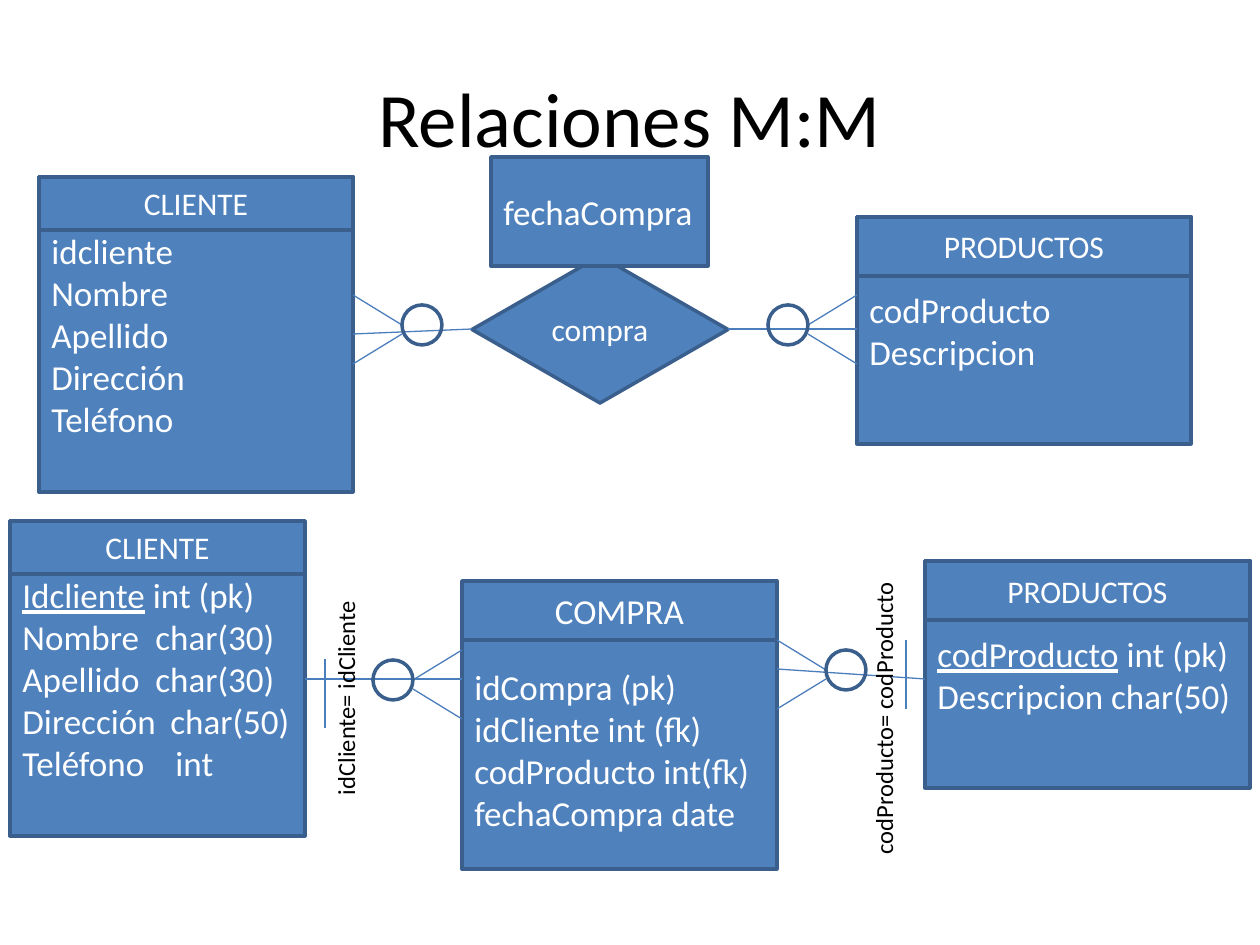
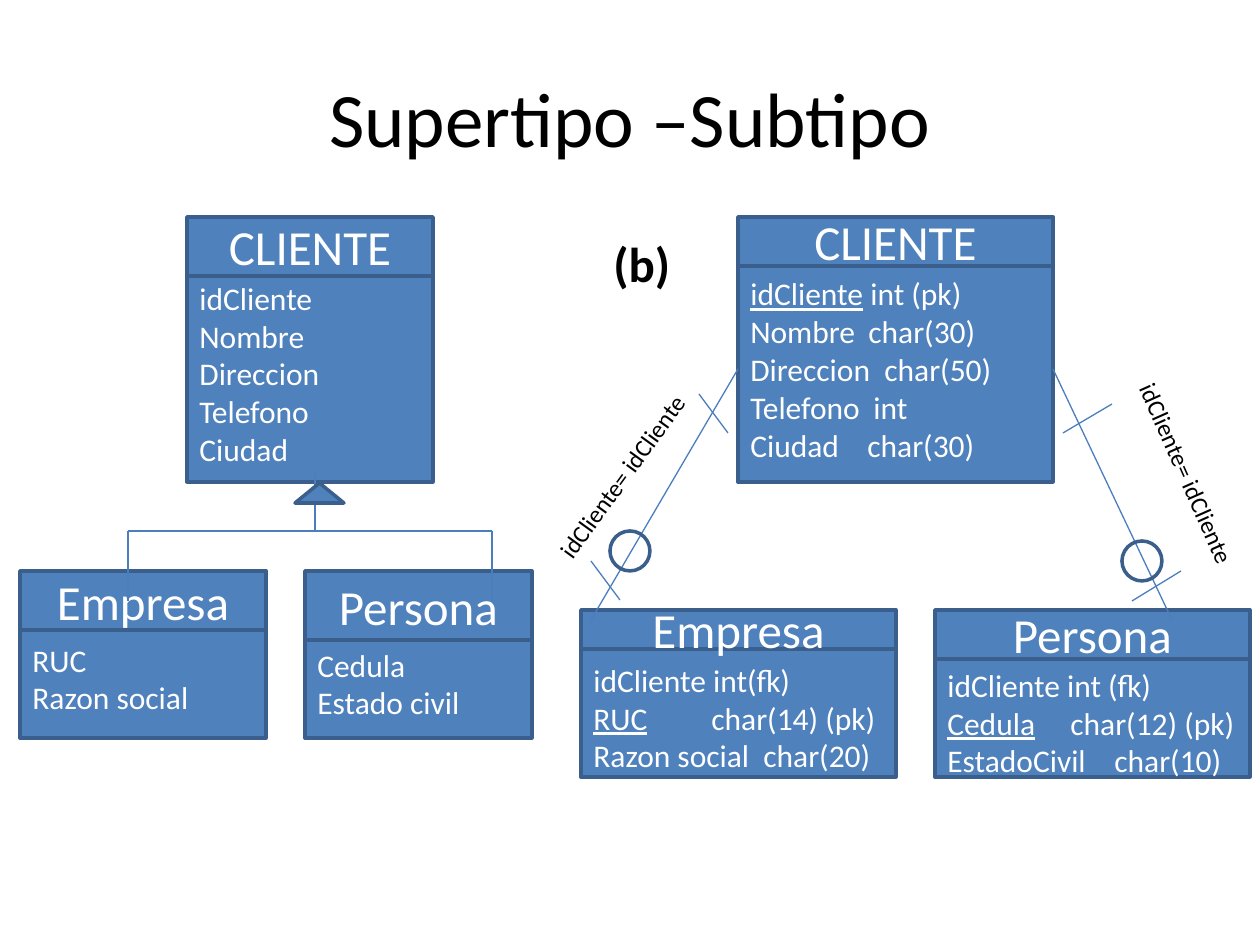
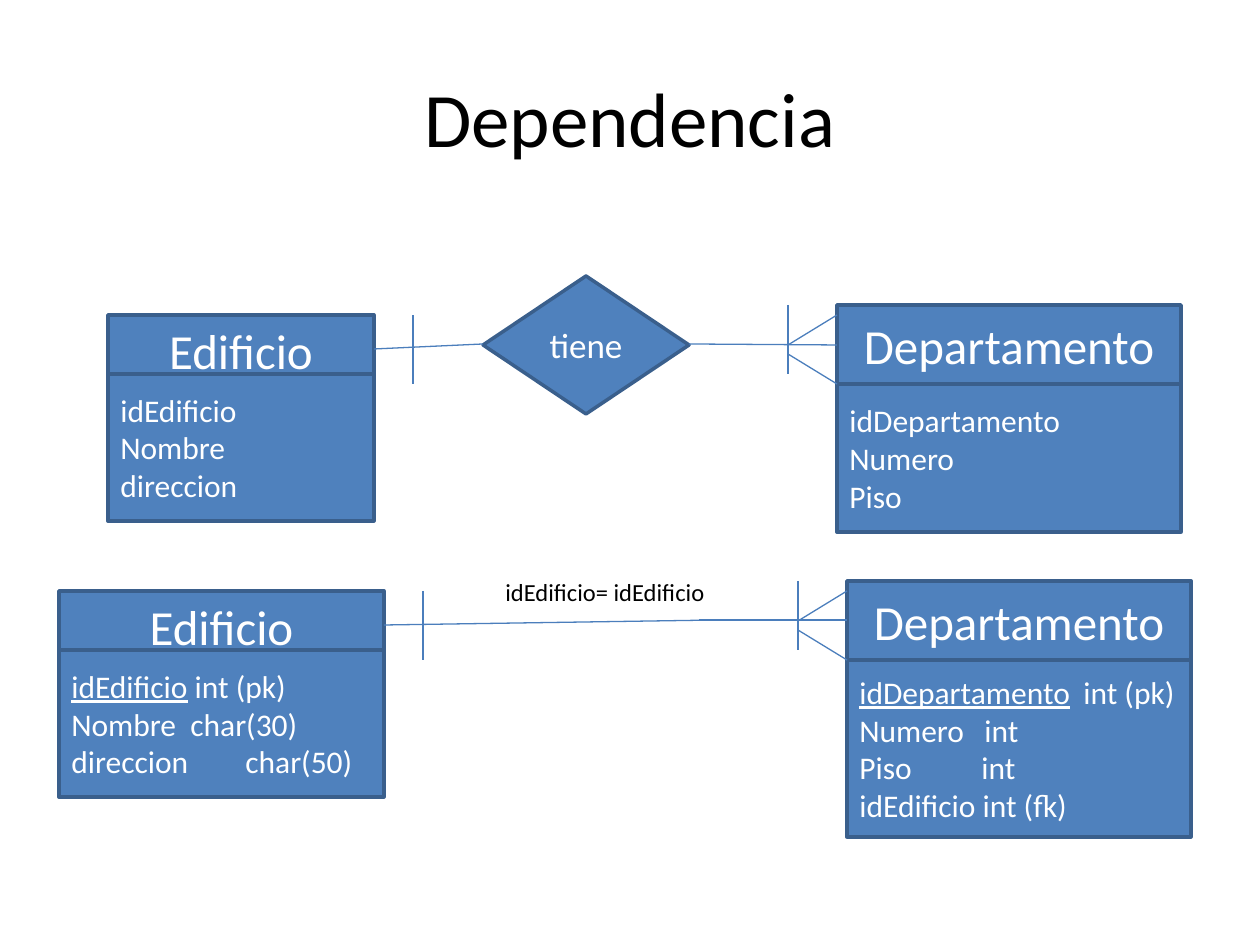
from typing import NamedTuple

from lxml.etree import SubElement
from pptx import Presentation
from pptx.dml.color import RGBColor
from pptx.enum.shapes import MSO_CONNECTOR as CONN, MSO_SHAPE as SHP
from pptx.enum.text import MSO_ANCHOR as ANCHOR, PP_ALIGN as ALIGN
from pptx.oxml.ns import qn
from pptx.util import Pt

PX = 914400 / 126
BLUE = RGBColor(0x4F, 0x81, 0xBD)
EDGE = RGBColor(0x3A, 0x5F, 0x8C)
LINK = RGBColor(0x4B, 0x7E, 0xBC)
WHITE = RGBColor(0xFF, 0xFF, 0xFF)
BLACK = RGBColor(0, 0, 0)
FONT = "Calibri"
LINE_18 = 38
INSET = 6
RING = 40
FOOT = 49
TICK = 69


class Box(NamedTuple):
    """A rectangle in px."""
    x: int
    y: int
    w: int
    h: int

    def sub(self, x, y, w, h):
        """Return a box placed relative to this one."""
        return Box(self.x + x, self.y + y, w, h)


class Row(NamedTuple):
    """One attribute line: underlined key, then text with an optional tab stop."""
    text: str
    key: str = ""
    tab: int = 0


def emu(px):
    """Turn px into EMU."""
    return round(px * PX)


def add_text(tf, rows, size, color, align=ALIGN.LEFT, bold=False):
    """Fill a text frame with one paragraph per row."""
    tf.word_wrap = True
    for i, row in enumerate(rows):
        row = Row(row) if isinstance(row, str) else row
        p = tf.paragraphs[0] if i == 0 else tf.add_paragraph()
        p.alignment = align
        if row.tab:
            tabs = SubElement(p._p.get_or_add_pPr(), qn("a:tabLst"))
            SubElement(tabs, qn("a:tab"), pos=str(emu(row.tab)), algn="l")
        for text, underline in ((row.key, True), (row.text, False)):
            if not text:
                continue
            r = p.add_run()
            r.text = text
            font = {"name": FONT, "size": Pt(size), "bold": bold, "underline": underline}
            for name, value in font.items():
                setattr(r.font, name, value)
            r.font.color.rgb = color


def add_label(s, box, text, size=14, rotation=0, align=ALIGN.LEFT, anchor=ANCHOR.TOP, bold=False):
    """Add black text, turned if asked."""
    sp = s.shapes.add_textbox(*map(emu, box))
    sp.rotation = rotation
    sp.text_frame.vertical_anchor = anchor
    add_text(sp.text_frame, [text], size, BLACK, align, bold)


def add_shape(s, kind, box, rows=(), size=18, align=ALIGN.CENTER, lead=0, filled=True):
    """Add an outlined shape with white text, lowered by half the lead."""
    sp = s.shapes.add_shape(kind, *map(emu, box))
    sp.shadow.inherit = False
    if filled:
        sp.fill.solid()
        sp.fill.fore_color.rgb = BLUE
    else:
        sp.fill.background()
    sp.line.color.rgb = EDGE
    sp.line.width = Pt(2)
    tf = sp.text_frame
    tf.vertical_anchor = ANCHOR.MIDDLE
    tf.margin_top = emu(INSET + lead)
    add_text(tf, rows, size, WHITE, align)


def add_line(s, box, x1, y1, x2, y2):
    """Add a thin line between two points of a box."""
    ends = (box.x + x1, box.y + y1, box.x + x2, box.y + y2)
    cxn = s.shapes.add_connector(CONN.STRAIGHT, *map(emu, ends))
    cxn.line.color.rgb = LINK
    cxn.line.width = Pt(0.75)
    SubElement(cxn._element.spPr, qn("a:effectLst"))


def add_tick(s, box, x, y):
    """Add the upright bar that stands for one."""
    add_line(s, box, x, y, x, y + TICK)


def add_ring(s, box, x, y):
    """Add the circle that stands for zero."""
    add_shape(s, SHP.OVAL, box.sub(x, y, RING, RING), filled=False)


def add_foot(s, box, x, y, side, ring=True):
    """Add a crow's foot whose toes touch an entity edge at x, closed by a ring or a tick."""
    tip = x + side * FOOT
    add_line(s, box, x, y, tip, y + 30)
    add_line(s, box, tip, y + 39, x, y + TICK)
    if ring:
        add_ring(s, box, tip if side > 0 else tip - RING, y + 10)
    else:
        add_tick(s, box, tip, y - 10)


def add_entity(s, box, name, rows, head, body=0, sizes=(28, 18), lead=0, body_on_top=False):
    """Add an entity: a heading of height head and a body that starts at body."""
    def add_body():
        add_shape(s, SHP.RECTANGLE, box.sub(0, body, box.w, box.h - body),
                  rows, sizes[1], ALIGN.LEFT, lead)

    def add_head():
        add_shape(s, SHP.RECTANGLE, box.sub(0, 0, box.w, head), [name], sizes[0])

    for draw in (add_head, add_body) if body_on_top else (add_body, add_head):
        draw()


def add_slide(prs, title):
    """Add a blank slide with its centred title."""
    s = prs.slides.add_slide(prs.slide_layouts[6])
    add_label(s, Box(63, 38, 1134, 157), title, 44, align=ALIGN.CENTER, anchor=ANCHOR.MIDDLE)
    return s


def many_concept(s, box):
    """Draw the many-to-many relation as a diamond between two entities."""
    sizes = (18, 20)
    add_entity(s, box.sub(0, 20, 314, 315), "CLIENTE",
               ["idcliente", "Nombre", "Apellido", "Dirección", "Teléfono"], 53, sizes=sizes)
    add_entity(s, box.sub(818, 60, 334, 227), "PRODUCTOS",
               ["codProducto", "Descripcion"], 59, sizes=sizes)
    add_shape(s, SHP.DIAMOND, box.sub(433, 99, 256, 147), ["compra"])
    add_line(s, box, 689, 172, 818, 172)
    add_line(s, box, 433, 172, 314, 177)
    add_shape(s, SHP.RECTANGLE, box.sub(452, 0, 217, 109), ["fechaCompra"], 20, ALIGN.LEFT)
    add_foot(s, box, 314, 138, 1)
    add_foot(s, box, 818, 138, -1)


def many_tables(s, box):
    """Draw the many-to-many relation as three tables."""
    add_entity(s, box.sub(0, 0, 295, 315), "CLIENTE",
               [Row(" int (pk)", "Idcliente"), Row("Nombre\tchar(30)", tab=133),
                Row("Apellido\tchar(30)", tab=133), Row("Dirección\tchar(50)", tab=148),
                Row("Teléfono\tint", tab=153)], 53, sizes=(18, 20))
    add_entity(s, box.sub(915, 40, 325, 227), "PRODUCTOS",
               [Row(" int (pk)", "codProducto"), "Descripcion char(50)"], 59, sizes=(18, 20))
    add_entity(s, box.sub(452, 60, 315, 288), "COMPRA",
               ["idCompra (pk)", "idCliente int (fk)", "codProducto int(fk)",
                "fechaCompra date"], 59, 49, (20, 20))
    add_line(s, box, 767, 148, 915, 158)
    add_line(s, box, 452, 158, 295, 158)
    add_foot(s, box, 452, 129, -1)
    add_foot(s, box, 767, 119, 1)
    add_tick(s, box, 315, 138)
    add_tick(s, box, 896, 119)
    add_label(s, box.sub(213, 142, 246, 43), "idCliente= idCliente", rotation=270)
    add_label(s, box.sub(697, 147, 354, 43), "codProducto= codProducto", rotation=270)


def subtype_concept(s, box):
    """Draw the supertype above its two subtypes."""
    add_entity(s, box.sub(167, 0, 246, 265), "CLIENTE",
               ["idCliente", "Nombre", "Direccion", "Telefono", "Ciudad"], 59, 10, lead=LINE_18)
    add_entity(s, box.sub(0, 354, 246, 167), "Empresa",
               ["RUC", "Razon social"], 59, 10, lead=LINE_18)
    add_entity(s, box.sub(285, 354, 227, 167), "Persona",
               ["Cedula", "Estado civil"], 69, 20, lead=LINE_18)
    add_line(s, box, 295, 255, 295, 314)
    for x in (108, 472):
        add_line(s, box, 295, 314, x, 314)
        add_line(s, box, x, 314, x, 384)
    add_shape(s, SHP.ISOSCELES_TRIANGLE, box.sub(275, 266, 49, 20))


def subtype_tables(s, box):
    """Draw the supertype and its subtypes as tables."""
    add_entity(s, box.sub(157, 0, 315, 265), "CLIENTE",
               [Row(" int (pk)", "idCliente"), Row("Nombre\tchar(30)", tab=118),
                Row("Direccion\tchar(50)", tab=134), Row("Telefono\tint", tab=123),
                Row("Ciudad\tchar(30)", tab=117)], 49, 39)
    add_entity(s, box.sub(0, 393, 315, 167), "Empresa",
               ["idCliente int(fk)", Row("\tchar(14) (pk)", "RUC", 118),
                Row("Razon social\tchar(20)", tab=170)], 39, 10, lead=LINE_18)
    add_entity(s, box.sub(354, 393, 315, 167), "Persona",
               ["idCliente int (fk)", Row("\tchar(12) (pk)", "Cedula", 123),
                Row("EstadoCivil\tchar(10)", tab=167)], 49, 20, lead=LINE_18)
    add_label(s, box.sub(20, 10, 118, 72), "(b)", 28, bold=True)
    links = ((10, 403, 157, 152), (472, 152, 591, 403))
    ticks = ((118, 177, 147, 216), (482, 216, 531, 187),
             (10, 344, 39, 383), (551, 384, 600, 354))
    for ends in links + ticks:
        add_line(s, box, *ends)
    for x, y in ((29, 314), (541, 324)):
        add_ring(s, box, x, y)
    for x, y, rotation in ((-76, 223, 306), (485, 252, 66)):
        add_label(s, box.sub(x, y, 256, 43), "idCliente= idCliente", rotation=rotation)


def dependency(s, box, edificio_w, edificio, departamento):
    """Draw a building and its dependent flats, with the end marks of their link."""
    dep_x = box.w - 344
    add_entity(s, box.sub(0, 10, edificio_w, 206), "Edificio", edificio, 69, 59, body_on_top=True)
    add_entity(s, box.sub(dep_x, 0, 344, box.h), "Departamento", departamento, 79, 79,
               body_on_top=True)
    add_foot(s, box, dep_x, 10, -1, ring=False)
    add_tick(s, box, edificio_w + 39, 10)


def dependency_concept(s, box):
    """Draw the dependency with a diamond."""
    dependency(s, box, 266, ["idEdificio", "Nombre", "direccion"],
               ["idDepartamento", "Numero", "Piso"])
    add_shape(s, SHP.DIAMOND, box.sub(375, -29, 206, 138), ["tiene"], 20)
    add_line(s, box, 266, 44, 375, 39)
    add_line(s, box, 581, 39, 729, 40)


def dependency_tables(s, box):
    """Draw the dependency as two tables."""
    dependency(s, box, 325,
               [Row(" int (pk)", "idEdificio"), Row("Nombre\tchar(30)", tab=119),
                Row("direccion\tchar(50)", tab=174)],
               [Row("\tint (pk)", "idDepartamento", 224), Row("Numero\tint", tab=125),
                Row("Piso\tint", tab=122), "idEdificio int (fk)"])
    add_line(s, box, 325, 44, 659, 39)
    add_line(s, box, 640, 39, 788, 39)
    add_label(s, box.sub(434, -10, 266, 43), "idEdificio= idEdificio")


def main():
    """Build the three slides."""
    prs = Presentation()
    prs.slide_width, prs.slide_height = emu(1260), emu(945)
    s = add_slide(prs, "Relaciones M:M")
    many_concept(s, Box(39, 157, 1152, 335))
    many_tables(s, Box(10, 521, 1240, 348))
    s = add_slide(prs, "Supertipo –Subtipo")
    subtype_concept(s, Box(20, 217, 512, 521))
    subtype_tables(s, Box(581, 217, 669, 560))
    s = add_slide(prs, "Dependencia")
    dependency_concept(s, Box(108, 305, 1073, 227))
    dependency_tables(s, Box(59, 581, 1132, 256))
    prs.save("out.pptx")


if __name__ == "__main__":
    main()
